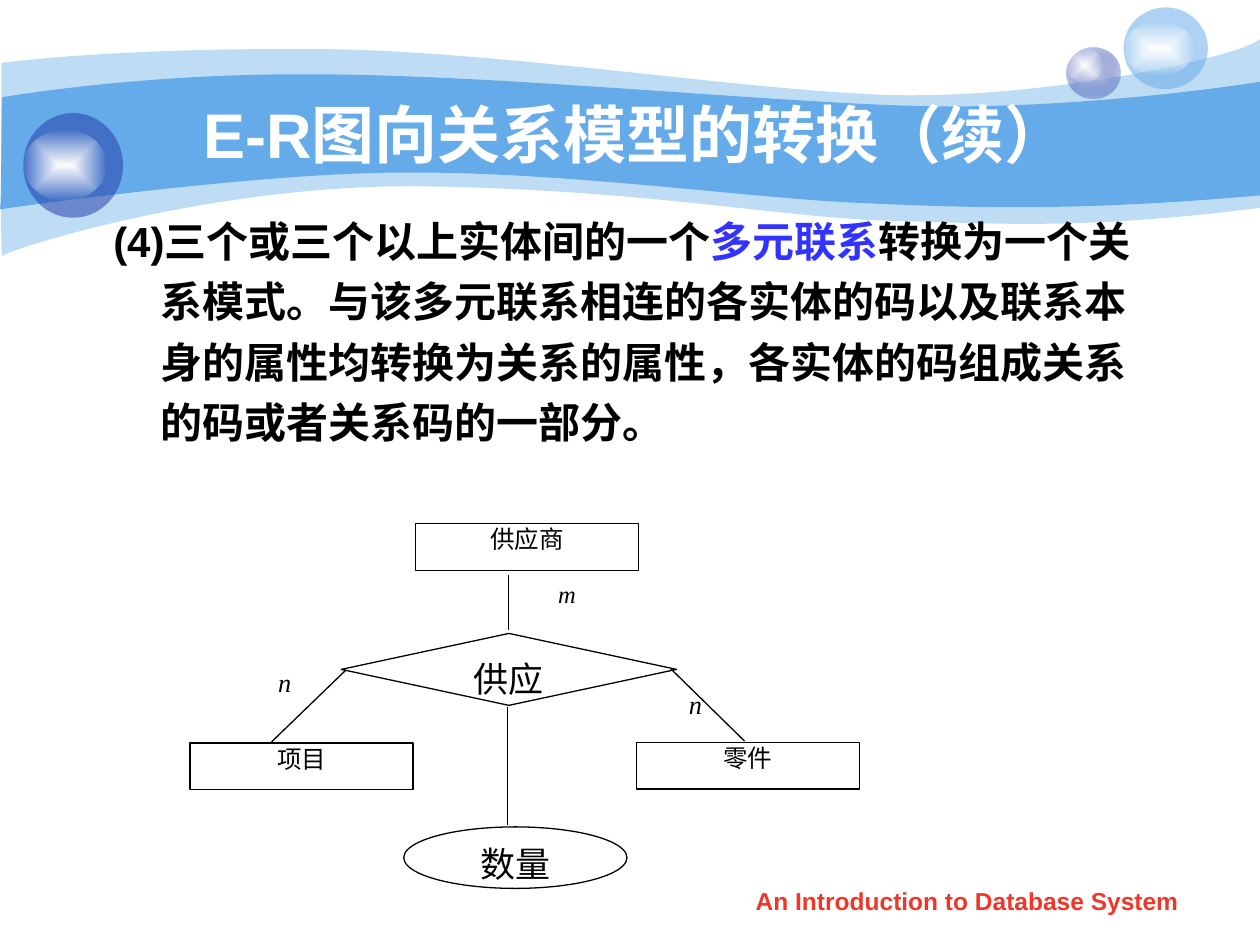
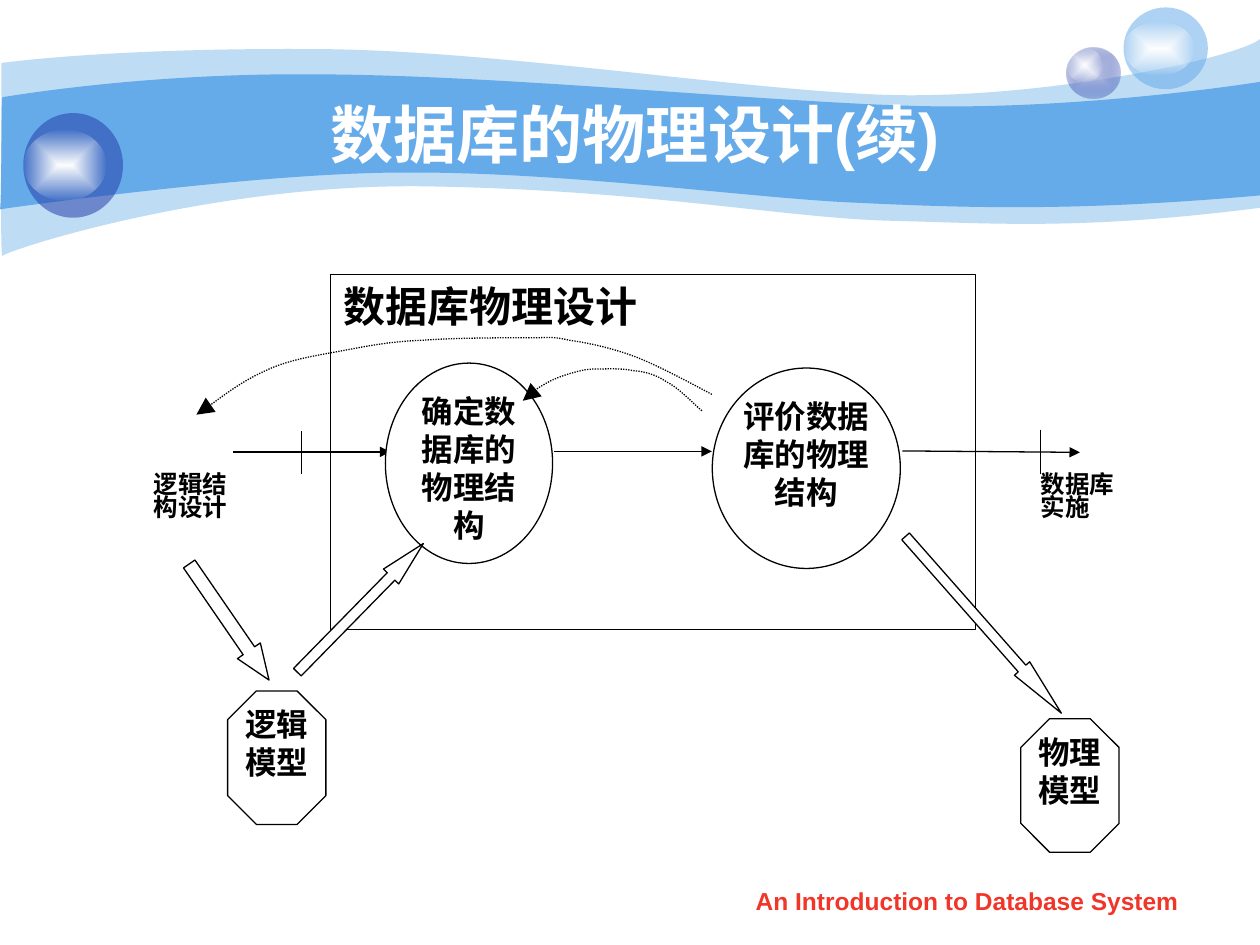
from lxml.etree import Element, SubElement
from pptx import Presentation
from pptx.dml.color import RGBColor
from pptx.enum.dml import MSO_LINE
from pptx.enum.shapes import MSO_CONNECTOR, MSO_SHAPE
from pptx.enum.text import MSO_ANCHOR, MSO_AUTO_SIZE, PP_ALIGN
from pptx.oxml.ns import qn
from pptx.util import Cm, Pt

SKY = RGBColor(0x65, 0xAA, 0xE9)
NAVY = RGBColor(0x23, 0x3D, 0xA9)
LAVENDER = RGBColor(0xC7, 0xCE, 0xE9)
RED = RGBColor(0xF0, 0x36, 0x28)
BLUE = RGBColor(0x33, 0x33, 0xFF)
BLACK = RGBColor(0, 0, 0)
WHITE = RGBColor(0xFF, 0xFF, 0xFF)
HEADING_FONT = "Arial"
DIAGRAM_FONT = "Times New Roman"

FOOTER = "An Introduction to Database System"

PALE_WAVE = [
    [(0.03, 1.27)],
    [(0.64, 1.19), (2.74, 0.97), (6.27, 0.99)],
    [(9.8, 0.99), (14.63, 1.78), (17.75, 1.91)],
    [(20.88, 2.03), (24.89, 1.19), (25.4, 0.79)],
    [(25.4, 4.19)],
    [(21.79, 4.65), (20.02, 4.5), (17.91, 4.45)],
    [(15.8, 4.39), (13.08, 3.84), (8.74, 3.76)],
    [(4.37, 3.66), (0.13, 5.05), (0.05, 5.16)],
    [(0, 5.28), (0.03, 1.91), (0.03, 1.27)],
]
DEEP_WAVE = [
    [(0.05, 1.96)],
    [(0.08, 1.96), (2.82, 1.47), (6.32, 1.5)],
    [(9.83, 1.5), (15.14, 2.03), (18.24, 2.13)],
    [(21.36, 2.24), (24.79, 1.75), (25.4, 1.65)],
    [(25.4, 3.94)],
    [(21.67, 4.27), (19.46, 4.19), (17.32, 4.09)],
    [(15.21, 4.01), (11.38, 3.45), (8.08, 3.48)],
    [(5.18, 3.48), (-0.03, 4.22), (0, 4.22)],
    [(0.03, 4.22), (0.03, 1.96), (0.05, 1.96)],
]
WAVES = [(PALE_WAVE, 41), (DEEP_WAVE, 100)]

BUBBLES = [
    ((21.51, 0.97, 1.07, 1.02), [(LAVENDER, 100), (NAVY, 31)]),
    ((21.51, 0.97, 0.71, 0.69), [(WHITE, 100), (WHITE, 0)]),
    ((22.65, 0.15, 1.7, 1.65), [(SKY, 53)]),
    ((22.65, 0.43, 1.42, 1.09), [(WHITE, 100), (WHITE, 0)]),
    ((0.47, 2.28, 2.01, 2.11), [(NAVY, 53)]),
    ((0.47, 2.62, 1.68, 1.42), [(WHITE, 100), (WHITE, 0)]),
]

CONVERSION_TITLE = "E-R图向关系模型的转换（续）"
CONVERSION_RULE = [
    ("(4)三个或三个以上实体间的一个", BLACK),
    ("多元联系", BLUE),
    ("转换为一个关系模式。与该多元联系相连的各实体的码以及联系本身的属性均转换为关系的属性，"
     "各实体的码组成关系的码或者关系码的一部分。", BLACK),
]
ENTITIES = [("供应商", 8.38, 10.56), ("零件", 12.83, 14.97), ("项目", 3.83, 14.98)]
RELATIONSHIP = ("供应", MSO_SHAPE.DIAMOND, (6.88, 12.77, 6.76, 1.45))
ATTRIBUTE = ("数量", MSO_SHAPE.OVAL, (8.14, 16.67, 4.5, 1.24))
LINKS = [
    ((10.25, 11.6), (10.25, 12.7), 0.75),
    ((6.97, 13.51), (5.47, 14.96), 0.75),
    ((13.52, 13.48), (15.01, 14.94), 0.75),
    ((10.23, 14.25), (10.23, 16.64), 0.5),
]
CARDINALITY_SIZE = (2.26, 0.93)
SUPPLIER_CARDINALITY = ("m", 10.3, 11.67)
OTHER_CARDINALITIES = [("n", 5.36, 13.42), ("n", 13.64, 13.87)]

PHYSICAL_TITLE = "数据库的物理设计(续)"
FRAME = ("数据库物理设计", (6.67, 5.53, 12.99, 7.16))
FLOWS = [
    ((4.7, 9.11), (7.87, 9.11)),
    ((11.17, 9.1), (14.35, 9.1)),
    ((18.19, 9.09), (21.77, 9.12)),
]
TICKS = [((20.98, 8.66), (20.98, 9.55)), ((6.08, 8.69), (6.08, 9.57))]
STAGES = [
    ("确定数据库的物理结构", (7.77, 7.32, 3.37, 4.04)),
    ("评价数据库的物理结构", (14.36, 7.42, 3.79, 4.04)),
]
NEIGHBOURS = [
    ("逻辑结\n构设计", (3.1, 9.56, 3.18, 1.35)),
    ("数据库\n实施", (20.98, 9.56, 3.58, 1.35)),
]
MODELS = [("物理\n模型", 20.58, 14.49), ("逻辑\n模型", 4.59, 13.93)]
BLOCK_ARROWS = [
    ((3.2, 12.26, 2.84, 0.56), 55.5, 1.28),
    ((17.45, 12.39, 4.75, 0.41), 48.6, 2.92),
    ((5.45, 12.04, 3.63, 0.43), 314.4, 2.16),
]
FEEDBACK_CURVES = [
    [
        [(14.15, 8.28)],
        [(14.02, 8.18), (13.69, 7.82), (13.44, 7.7)],
        [(13.21, 7.54), (12.98, 7.49), (12.75, 7.47)],
        [(12.52, 7.42), (12.22, 7.44), (12.01, 7.44)],
        [(11.81, 7.44), (11.71, 7.47), (11.53, 7.52)],
        [(11.35, 7.57), (11.13, 7.65), (10.97, 7.75)],
        [(10.8, 7.85), (10.62, 8), (10.54, 8.08)],
    ],
    [
        [(14.35, 7.95)],
        [(14.1, 7.82), (13.28, 7.37), (12.8, 7.19)],
        [(12.32, 7.01), (11.84, 6.91), (11.48, 6.86)],
        [(11.13, 6.78), (11.13, 6.81), (10.64, 6.81)],
        [(10.13, 6.81), (9.14, 6.81), (8.53, 6.86)],
        [(7.92, 6.88), (7.49, 6.96), (6.96, 7.06)],
        [(6.43, 7.16), (5.84, 7.24), (5.36, 7.47)],
        [(4.85, 7.7), (4.24, 8.18), (3.96, 8.36)],
    ],
]


def lengths(values):
    return [Cm(value) for value in values]


def add_curve(slide, segments, close):
    points = [lengths(point) for segment in segments for point in segment]
    builder = slide.shapes.build_freeform(*points[0])
    builder.add_line_segments(points[1:], close=close)
    shape = builder.convert_to_shape()
    shape.shadow.inherit = False
    outline = next(shape.element.spPr.iter(qn("a:path")))
    steps = iter(outline.findall(qn("a:lnTo")))
    for segment in segments[1:]:
        group = [next(steps) for _ in segment]
        if len(group) == 3:
            curve = Element(qn("a:cubicBezTo"))
            group[0].addprevious(curve)
            for step in group:
                curve.append(step[0])
                outline.remove(step)
    return shape


def set_fill(shape, stops):
    if len(stops) == 1:
        shape.fill.solid()
        shape.fill.fore_color.rgb = stops[0][0]
    else:
        shape.fill.gradient()
        for stop, (color, _) in zip(shape.fill.gradient_stops, stops):
            stop.color.rgb = color
        gradient = shape.element.spPr.find(qn("a:gradFill"))
        gradient.remove(gradient.find(qn("a:lin")))
        focus = SubElement(gradient, qn("a:path"), path="rect")
        SubElement(focus, qn("a:fillToRect"), l="50000", t="50000", r="50000", b="50000")
    colors = shape.element.spPr.iter(qn("a:srgbClr"))
    for color, (_, opacity) in zip(list(colors), stops):
        if opacity < 100:
            SubElement(color, qn("a:alpha"), val=str(opacity * 1000))


def set_line(shape, width=0.75, arrow_size=None):
    shape.line.color.rgb = BLACK
    shape.line.width = Pt(width)
    if arrow_size:
        outline = shape.element.spPr.find(qn("a:ln"))
        SubElement(outline, qn("a:tailEnd"), type="triangle", w=arrow_size, len=arrow_size)


def add_line(slide, start, end, width=0.75, arrow_size=None):
    line = slide.shapes.add_connector(MSO_CONNECTOR.STRAIGHT, *lengths(start + end))
    set_line(line, width, arrow_size)
    SubElement(line.element.spPr, qn("a:effectLst"))


def set_text(shape, text, size, font=DIAGRAM_FONT, color=BLACK, bold=False, italic=False,
             align=PP_ALIGN.CENTER, spacing=1.0, inset=True):
    frame = shape.text_frame
    frame.text = text
    frame.word_wrap = True
    frame.vertical_anchor = MSO_ANCHOR.TOP
    if not inset:
        frame.margin_left = frame.margin_right = frame.margin_top = frame.margin_bottom = 0
    for paragraph in frame.paragraphs:
        paragraph.alignment = align
        paragraph.line_spacing = spacing
        paragraph.font.name = font
        paragraph.font.size = Pt(size)
        paragraph.font.bold = bold
        paragraph.font.italic = italic
        paragraph.font.color.rgb = color


def add_box(slide, kind, place, outlined=True):
    shape = slide.shapes.add_shape(kind, *lengths(place))
    shape.shadow.inherit = False
    set_fill(shape, [(WHITE, 100)])
    if outlined:
        set_line(shape)
    else:
        shape.line.fill.background()
    return shape


def add_textbox(slide, place, text, size, **style):
    set_text(slide.shapes.add_textbox(*lengths(place)), text, size, **style)


def place_shape(shape, place):
    shape.left, shape.top, shape.width, shape.height = lengths(place)


def decorate_master(presentation, slide):
    decorations = []
    for wave, opacity in WAVES:
        shape = add_curve(slide, wave, close=True)
        set_fill(shape, [(SKY, opacity)])
        decorations.append(shape)
    for place, stops in BUBBLES:
        shape = add_box(slide, MSO_SHAPE.OVAL, place, outlined=False)
        set_fill(shape, stops)
        decorations.append(shape)
    tree = presentation.slide_master.shapes.element
    for number, shape in enumerate(decorations, start=100):
        shape.line.fill.background()
        shape.element.nvSpPr.cNvPr.set("id", str(number))
        tree.append(shape.element)


def add_slide(presentation, layout_index, title):
    slide = presentation.slides.add_slide(presentation.slide_layouts[layout_index])
    heading = slide.shapes.title
    place_shape(heading, (2.55, 1.9, 20.52, 1.57))
    set_text(heading, title, 36, font=HEADING_FONT, color=WHITE, bold=True)
    heading.text_frame.vertical_anchor = MSO_ANCHOR.MIDDLE
    heading.text_frame.auto_size = MSO_AUTO_SIZE.NONE
    add_textbox(slide, (14.5, 17.73, 10, 0.89), FOOTER, 14,
                font=HEADING_FONT, color=RED, bold=True)
    return slide


def fill_conversion(slide):
    body = slide.placeholders[1]
    place_shape(body, (2.03, 4.01, 21.59, 11.43))
    body.text_frame.auto_size = MSO_AUTO_SIZE.NONE
    paragraph = body.text_frame.paragraphs[0]
    properties = paragraph._p.get_or_add_pPr()
    properties.set("marL", str(Cm(0.95)))
    properties.set("indent", str(-Cm(0.95)))
    paragraph.line_spacing = 1.2
    paragraph.space_before = Pt(0)
    SubElement(properties, qn("a:buNone"))
    paragraph.font.name = HEADING_FONT
    paragraph.font.size = Pt(24)
    paragraph.font.bold = True
    for text, color in CONVERSION_RULE:
        run = paragraph.add_run()
        run.text = text
        run.font.color.rgb = color

    for text, left, top in ENTITIES:
        box = add_box(slide, MSO_SHAPE.RECTANGLE, (left, top, 4.5, 0.94))
        set_text(box, text, 14, spacing=0.8)
    for text, kind, place in (RELATIONSHIP, ATTRIBUTE):
        set_text(add_box(slide, kind, place), text, 20)
    for start, end, width in LINKS:
        add_line(slide, start, end, width)
    text, left, top = SUPPLIER_CARDINALITY
    box = add_box(slide, MSO_SHAPE.RECTANGLE, (left, top, *CARDINALITY_SIZE), outlined=False)
    set_text(box, text, 14, italic=True, spacing=0.8)
    for text, left, top in OTHER_CARDINALITIES:
        add_textbox(slide, (left, top, *CARDINALITY_SIZE), text, 15,
                    italic=True, align=PP_ALIGN.JUSTIFY, spacing=0.8)


def fill_physical_design(slide):
    text, place = FRAME
    set_text(add_box(slide, MSO_SHAPE.RECTANGLE, place), text, 24, bold=True,
             align=PP_ALIGN.JUSTIFY)
    for start, end in FLOWS:
        add_line(slide, start, end, arrow_size="med")
    for start, end in TICKS:
        add_line(slide, start, end)
    for text, place in STAGES:
        set_text(add_box(slide, MSO_SHAPE.OVAL, place), text, 18, bold=True, inset=False)
    for text, place in NEIGHBOURS:
        set_text(add_box(slide, MSO_SHAPE.RECTANGLE, place, outlined=False), text, 14,
                 bold=True, align=PP_ALIGN.JUSTIFY, spacing=0.8, inset=False)
    for place, angle, head_length in BLOCK_ARROWS:
        arrow = add_box(slide, MSO_SHAPE.RIGHT_ARROW, place)
        arrow.rotation = angle
        arrow.adjustments[1] = head_length
    for segments in FEEDBACK_CURVES:
        curve = add_curve(slide, segments, close=False)
        curve.fill.background()
        curve.line.dash_style = MSO_LINE.ROUND_DOT
        set_line(curve, arrow_size="lg")
    for text, left, top in MODELS:
        box = add_box(slide, MSO_SHAPE.OCTAGON, (left, top, 1.98, 2.69))
        set_text(box, text, 18, bold=True, inset=False)


def main():
    presentation = Presentation()
    presentation.slide_width, presentation.slide_height = Cm(25.4), Cm(19.05)
    conversion = add_slide(presentation, 1, CONVERSION_TITLE)
    decorate_master(presentation, conversion)
    fill_conversion(conversion)
    fill_physical_design(add_slide(presentation, 5, PHYSICAL_TITLE))
    presentation.save("out.pptx")


if __name__ == "__main__":
    main()
